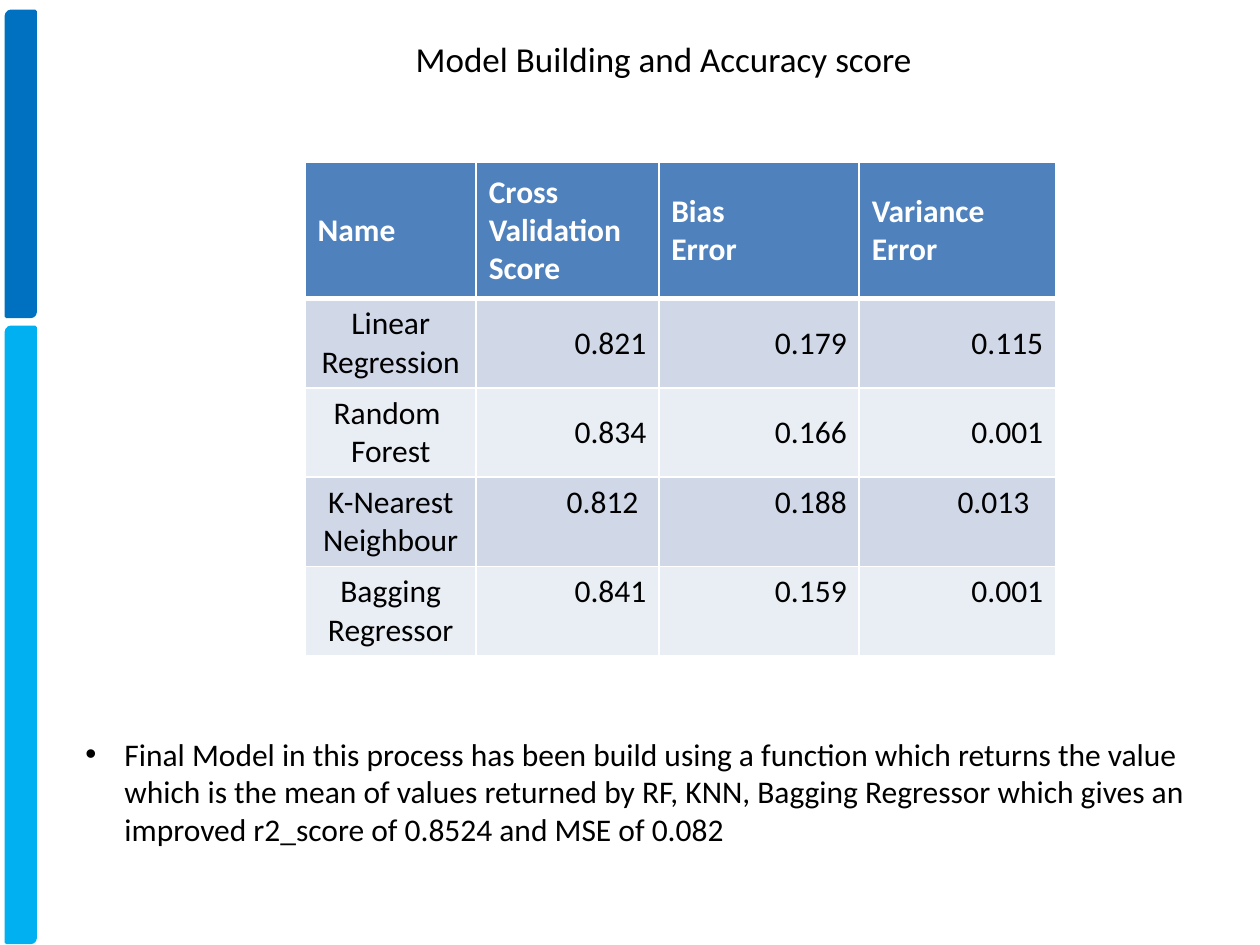
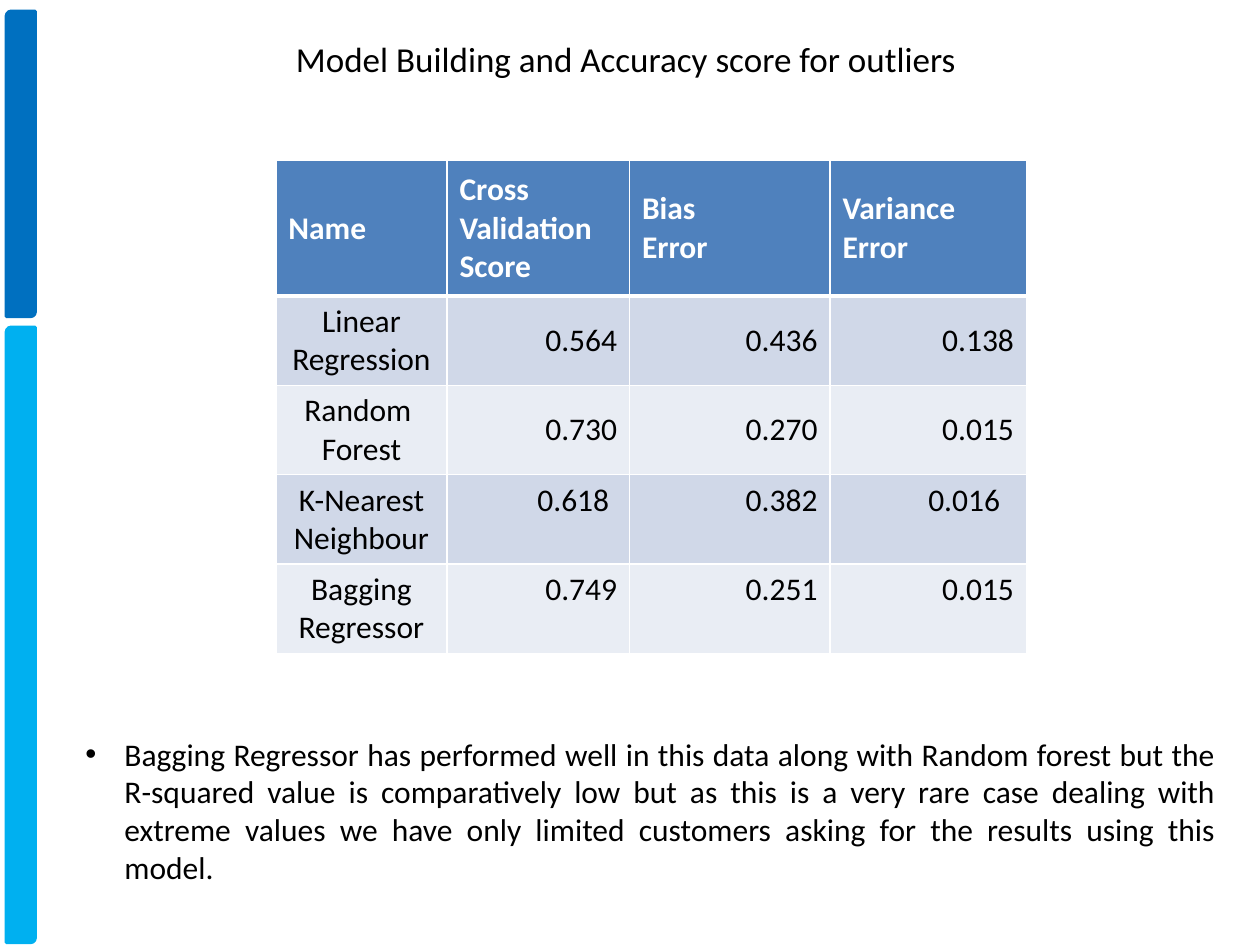
from dataclasses import dataclass

from lxml.etree import SubElement
from pptx import Presentation
from pptx.dml.color import RGBColor
from pptx.enum.shapes import MSO_SHAPE as Preset
from pptx.enum.text import MSO_ANCHOR as Anchor, PP_ALIGN as Align
from pptx.oxml.ns import qn
from pptx.util import Cm, Pt

FONT = "Calibri"
COLORS = {
    "band_top": "0070C0",
    "band_bottom": "00B0F0",
    "header": "4F81BD",
    "row_odd": "D0D8E8",
    "row_even": "E9EDF4",
    "text": "000000",
    "white": "FFFFFF",
}

# Table layout, in centimetres
COLUMN_WIDTHS = (3.45, 3.68, 4.04, 3.96)
HEADER_HEIGHT, ROW_HEIGHT = 2.74, 1.8
CELL_MARGIN = 0.25
HEADERS = ("Name", "Cross\nValidation\nScore", "Bias\nError", "Variance Error")
MODELS = ("Linear\nRegression", "Random \nForest", "K-Nearest\nNeighbour", "Bagging\nRegressor")
TOP_ANCHORED_FROM = 3
# Extra right margin of single scores, by (row, column)
SCORE_INSETS = {(3, 1): 0.16, (3, 3): 0.28}


@dataclass(frozen=True)
class Band:
    top: float
    height: float
    color: str


@dataclass(frozen=True)
class ScoreSlide:
    title: str
    title_align: Align
    title_indent: float
    table_left: float
    table_top: float
    scores: tuple[tuple[str, str, str], ...]
    note: str
    note_align: Align


BANDS = (Band(0.23, 6.15, "band_top"), Band(6.6, 12.4, "band_bottom"))

SLIDES = (
    ScoreSlide(
        "Model Building and Accuracy score", Align.LEFT, 6.86, 6.15, 3.28,
        (("0.821", "0.179", "0.115"),
         ("0.834", "0.166", "0.001"),
         ("0.812", "0.188", "0.013"),
         ("0.841", "0.159", "0.001")),
        "Final Model in this process has been build using a function which returns "
        "the value which is the mean of values returned by RF, KNN, Bagging Regressor "
        "which gives an improved r2_score of 0.8524 and MSE of 0.082",
        Align.LEFT,
    ),
    ScoreSlide(
        "Model Building and Accuracy score for outliers ", Align.CENTER, 0, 5.56, 3.23,
        (("0.564", "0.436", "0.138"),
         ("0.730", "0.270", "0.015"),
         ("0.618", "0.382", "0.016"),
         ("0.749", "0.251", "0.015")),
        "Bagging Regressor has performed well in this data along with Random forest "
        "but the R-squared value is comparatively low but as this is a very rare case "
        "dealing with extreme values we have only limited customers asking for the "
        "results using this model.",
        Align.JUSTIFY,
    ),
)


def rgb(name: str) -> RGBColor:
    return RGBColor.from_string(COLORS[name])


def add_run(paragraph, text: str, size: float, color: str = "text", bold: bool = False) -> None:
    run = paragraph.add_run()
    run.text = text
    run.font.name = FONT
    run.font.size = Pt(size)
    run.font.bold = bold
    run.font.color.rgb = rgb(color)


def set_indent(paragraph, left: float, first: float = 0) -> None:
    properties = paragraph._p.get_or_add_pPr()
    properties.set("marL", str(Cm(left)))
    properties.set("indent", str(Cm(first)))


def add_band(slide, band: Band) -> None:
    shape = slide.shapes.add_shape(
        Preset.ROUND_2_DIAG_RECTANGLE, Cm(0.13), Cm(band.top), Cm(0.58), Cm(band.height))
    shape.shadow.inherit = False
    shape.fill.solid()
    shape.fill.fore_color.rgb = rgb(band.color)
    shape.line.color.rgb = rgb(band.color)
    shape.line.width = Pt(2)


def add_text_frame(slide, left: float, top: float, width: float, height: float):
    frame = slide.shapes.add_textbox(Cm(left), Cm(top), Cm(width), Cm(height)).text_frame
    frame.word_wrap = True
    return frame


def add_title(slide, content: ScoreSlide) -> None:
    paragraph = add_text_frame(slide, 1.27, 0.64, 22.86, 17.78).paragraphs[0]
    paragraph.alignment = content.title_align
    set_indent(paragraph, content.title_indent)
    add_run(paragraph, content.title, 20)


def add_note(slide, content: ScoreSlide) -> None:
    frame = add_text_frame(slide, 1.47, 13.13, 23.29, 4.88)
    frame.margin_top = Cm(1.68)
    paragraph = frame.paragraphs[0]
    paragraph.alignment = content.note_align
    set_indent(paragraph, 0.79, -0.79)
    properties = paragraph._p.get_or_add_pPr()
    SubElement(properties, qn("a:buFont"), typeface="Arial")
    SubElement(properties, qn("a:buChar"), char="•")
    add_run(paragraph, content.note, 18)


def set_cell_look(cell, fill: str, bottom_width: float) -> None:
    # Borders come before the fill in the cell properties
    properties = cell._tc.get_or_add_tcPr()
    for side, width in (("lnL", 1), ("lnR", 1), ("lnT", 1), ("lnB", bottom_width)):
        line = SubElement(properties, qn(f"a:{side}"), w=str(Pt(width)))
        SubElement(SubElement(line, qn("a:solidFill")), qn("a:srgbClr"), val=COLORS["white"])
    cell.fill.solid()
    cell.fill.fore_color.rgb = rgb(fill)


def fill_cell(cell, text: str, row: int, column: int) -> None:
    is_header = row == 0
    if is_header:
        fill, color, align = "header", "white", Align.LEFT
    else:
        fill, color = "row_odd" if row % 2 else "row_even", "text"
        align = Align.RIGHT if column else Align.CENTER
    set_cell_look(cell, fill, 3 if is_header else 1)
    cell.vertical_anchor = Anchor.TOP if row >= TOP_ANCHORED_FROM else Anchor.MIDDLE
    cell.margin_right = Cm(CELL_MARGIN + SCORE_INSETS.get((row, column), 0))
    frame = cell.text_frame
    for index, line in enumerate(text.split("\n")):
        paragraph = frame.add_paragraph() if index else frame.paragraphs[0]
        paragraph.alignment = align
        add_run(paragraph, line, 18, color, is_header)


def add_score_table(slide, content: ScoreSlide) -> None:
    rows = [HEADERS] + [(model, *scores) for model, scores in zip(MODELS, content.scores)]
    heights = [HEADER_HEIGHT] + [ROW_HEIGHT] * len(MODELS)
    table = slide.shapes.add_table(
        len(rows), len(HEADERS), Cm(content.table_left), Cm(content.table_top),
        Cm(sum(COLUMN_WIDTHS)), Cm(sum(heights))).table
    for column, width in zip(table.columns, COLUMN_WIDTHS):
        column.width = Cm(width)
    for row, height in zip(table.rows, heights):
        row.height = Cm(height)
    for row_index, texts in enumerate(rows):
        for column_index, text in enumerate(texts):
            fill_cell(table.cell(row_index, column_index), text, row_index, column_index)


def main() -> None:
    presentation = Presentation()
    presentation.slide_width, presentation.slide_height = Cm(25.4), Cm(19.05)
    for content in SLIDES:
        slide = presentation.slides.add_slide(presentation.slide_layouts[6])
        for band in BANDS:
            add_band(slide, band)
        add_title(slide, content)
        add_score_table(slide, content)
        add_note(slide, content)
    presentation.save("out.pptx")


if __name__ == "__main__":
    main()
